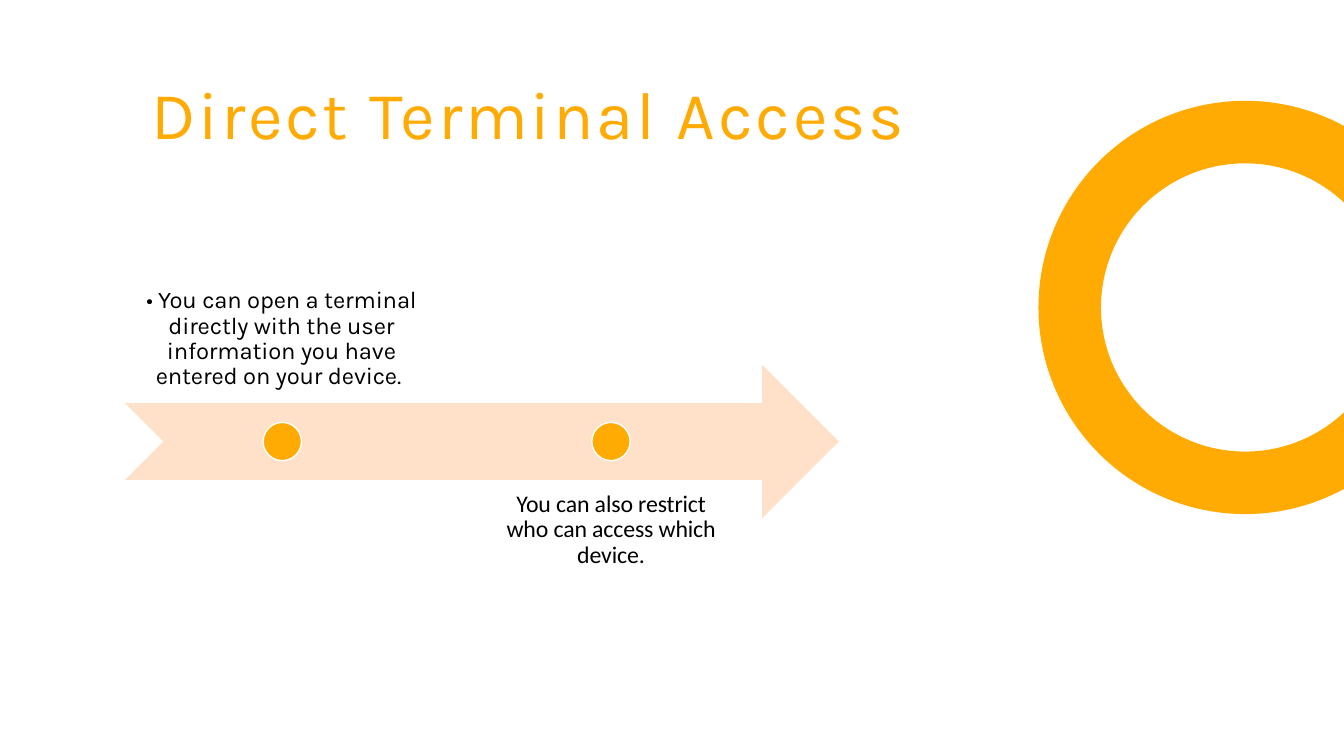
import math
from pptx import Presentation
from pptx import util as u
from pptx.dml.color import RGBColor
from pptx.enum import shapes as sh, text as t

GOLD, PEACH, WHITE, BLACK = "FFAB03", "FFE1CA", "FFFFFF", "000000"

prs = Presentation()
prs.slide_width, prs.slide_height = u.Inches(13.33), u.Inches(7.5)
slide = prs.slides.add_slide(prs.slide_layouts[5])


def paint(shape, fill, line=None):
    shape.shadow.inherit = False
    shape.fill.solid()
    shape.fill.fore_color.rgb = RGBColor.from_string(fill)
    if line:
        shape.line.color.rgb = RGBColor.from_string(line)
        shape.line.width = u.Pt(0.96)
    else:
        shape.line.fill.background()


def write(shape, words, font, size, color, align, lead, track, top):
    frame = shape.text_frame
    frame.word_wrap = True
    frame.auto_size = t.MSO_AUTO_SIZE.NONE
    frame.vertical_anchor = t.MSO_ANCHOR.TOP
    frame.margin_left = frame.margin_right = frame.margin_bottom = 0
    frame.margin_top = u.Inches(top)
    para = frame.paragraphs[0]
    para.alignment, para.line_spacing, para.space_before = align, lead, u.Pt(0)
    run = para.add_run()
    run.text = words
    run.font.name, run.font.size = font, u.Pt(size)
    run.font.color.rgb = RGBColor.from_string(color)
    run.font._element.set("spc", str(round(track * 100)))


# Timeline arrow: a notched band with a wide head
left, mid, tip = 1.24, 4.38, 8.32
half = 0.38
neck = tip - 2 * half
points = [(neck, mid - 2 * half), (neck, mid - half), (left, mid - half),
          (left + half, mid), (left, mid + half), (neck, mid + half),
          (neck, mid + 2 * half), (tip, mid)]
pen = slide.shapes.build_freeform(*[u.Inches(v) for v in points[0]])
pen.add_line_segments([(u.Inches(x), u.Inches(y)) for x, y in points[1:]])
paint(pen.convert_to_shape(), PEACH)

# Steps: a dot on the arrow and its text
steps = [
    (2.8, (1.4, 2.81, 2.78, 1.07), "Karla",
     "• You can open a terminal directly with the user information "
     "you have entered on your device.\u00a0"),
    (6.06, (5.02, 4.83, 2.08, 0.82), "Calibri",
     "You can also restrict who can access which device."),
]
for x, area, font, words in steps:
    dot = slide.shapes.add_shape(
        sh.MSO_SHAPE.OVAL, u.Inches(x - half / 2), u.Inches(mid - half / 2),
        u.Inches(half), u.Inches(half))
    paint(dot, GOLD, WHITE)
    box = slide.shapes.add_textbox(*[u.Inches(v) for v in area])
    write(box, words, font=font, size=17, color=BLACK,
          align=t.PP_ALIGN.CENTER, lead=u.Pt(18.1), track=-0.1, top=0.05)

# Title
title = slide.shapes.title
title.left, title.top = u.Inches(1.5), u.Inches(0.7)
title.width, title.height = u.Inches(7.68), u.Inches(0.82)
write(title, "Direct Terminal Access", font="Karla", size=48, color=GOLD,
      align=t.PP_ALIGN.LEFT, lead=0.8, track=2, top=0.17)

# Ring cut off by the right edge of the slide
hub, level, edge, count = 12.35, 3.05, 13.33, 120
ring = []
for radius, turn in ((2.05, 1), (1.43, -1)):
    start = math.acos((edge - hub) / radius)
    sweep = 2 * (math.pi - start)
    arc = [start + sweep * i / count for i in range(count + 1)][::turn]
    ring += [(u.Inches(hub + radius * math.cos(a)),
              u.Inches(level + radius * math.sin(a))) for a in arc]
pen = slide.shapes.build_freeform(*ring[0])
pen.add_line_segments(ring[1:])
paint(pen.convert_to_shape(), GOLD)

prs.save("out.pptx")
